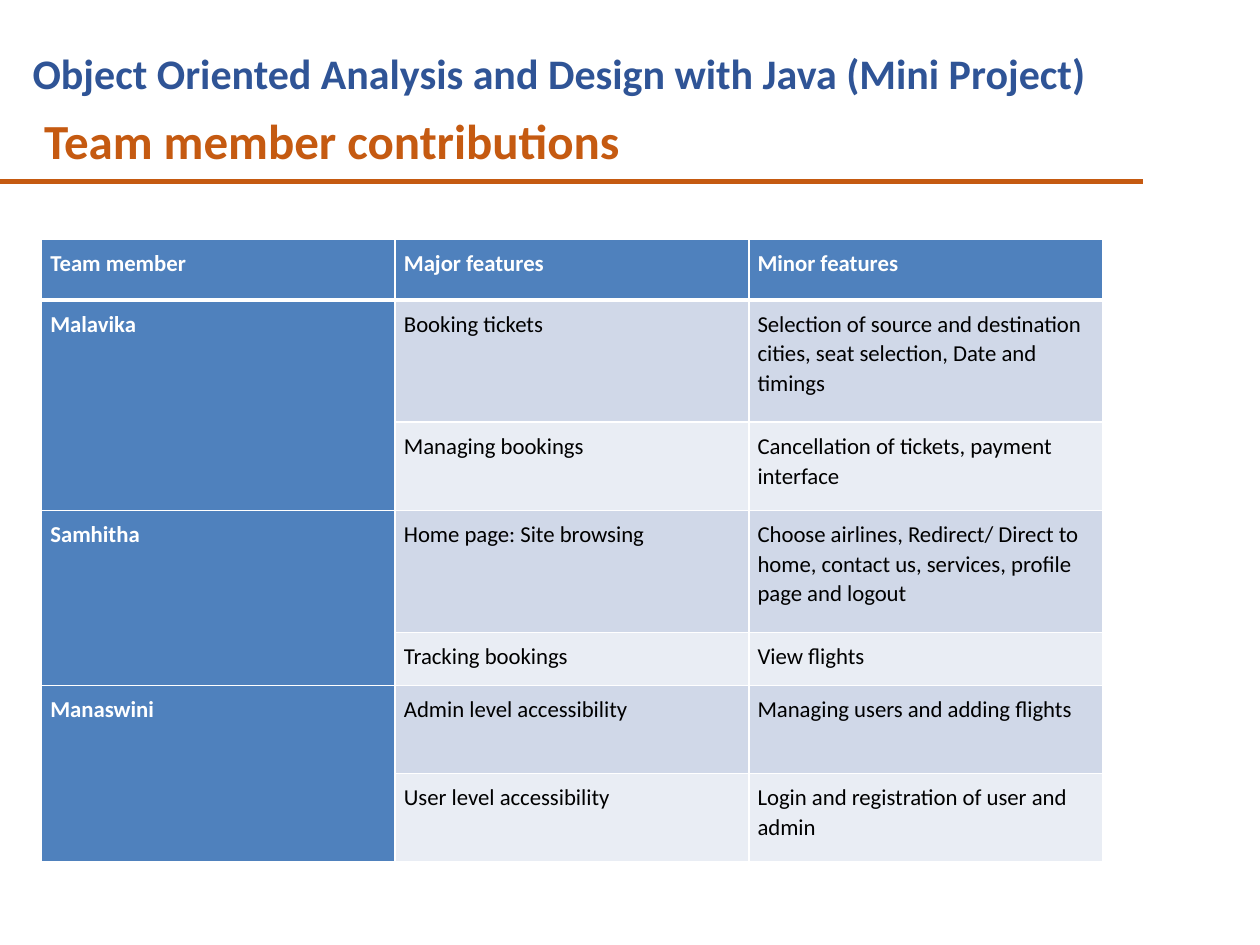
import pptx
import pptx.dml.color
import pptx.enum.shapes
import pptx.enum.text
import pptx.oxml
import pptx.oxml.ns
import pptx.util
import lxml.etree

Inches = pptx.util.Inches
Pt = pptx.util.Pt
BLUE, NAVY, RUST = "4F81BD", "2F5496", "C55A11"
WHITE, BLACK = "FFFFFF", "000000"
BANDS = ["D0D8E8", "E9EDF4"]

HEADS = ["Team member", "Major features", "Minor features"]
TEAM = {
    "Malavika": [
        ("Booking tickets",
         "Selection of source and destination cities, seat selection, Date and timings"),
        ("Managing bookings", "Cancellation of tickets, payment interface"),
    ],
    "Samhitha": [
        ("Home page: Site browsing",
         "Choose airlines, Redirect/ Direct to home, contact us, services, profile page and logout"),
        ("Tracking bookings", "View flights"),
    ],
    "Manaswini": [
        ("Admin level accessibility", "Managing users and adding flights"),
        ("User level accessibility", "Login and registration of user and admin"),
    ],
}
HEIGHTS = [0.48, 0.97, 0.7, 0.97, 0.42, 0.7, 0.7]


def color(code):
    return pptx.dml.color.RGBColor.from_string(code)


class Deck:
    font = "Calibri"

    def __init__(self):
        self.prs = pptx.Presentation()
        self.prs.slide_width, self.prs.slide_height = Inches(10), Inches(7.5)
        self.slide = self.prs.slides.add_slide(self.prs.slide_layouts[5])

    def text(self, frame, words, size, shade, bold=True):
        para = frame.paragraphs[0]
        para.alignment = pptx.enum.text.PP_ALIGN.LEFT
        run = para.add_run()
        run.text = words
        style = {"name": self.font, "size": Pt(size), "bold": bold}
        for key, value in style.items():
            setattr(run.font, key, value)
        run.font.color.rgb = color(shade)
        return para

    def fit(self, shape, words, size, shade):
        """Fill a title or text box with one heading."""
        frame = shape.text_frame
        style = {
            "word_wrap": True,
            "auto_size": pptx.enum.text.MSO_AUTO_SIZE.NONE,
            "vertical_anchor": pptx.enum.text.MSO_ANCHOR.TOP,
        }
        for key, value in style.items():
            setattr(frame, key, value)
        self.text(frame, words, size, shade)

    def title(self, words, box, size, shade):
        shape = self.slide.shapes.title
        for key, value in zip(("left", "top", "width", "height"), box):
            setattr(shape, key, Inches(value))
        self.fit(shape, words, size, shade)

    def label(self, words, box, size, shade):
        shape = self.slide.shapes.add_textbox(*map(Inches, box))
        self.fit(shape, words, size, shade)

    def rule(self, left, right, top, shade, width):
        line = self.slide.shapes.add_connector(
            pptx.enum.shapes.MSO_CONNECTOR.STRAIGHT,
            Inches(left), Inches(top), Inches(right), Inches(top))
        line.line.color.rgb = color(shade)
        line.line.width = Pt(width)
        props = line._element.spPr
        lxml.etree.SubElement(props, pptx.oxml.ns.qn("a:effectLst"))

    def border(self, cell, widths):
        props = cell._tc.get_or_add_tcPr()
        space = pptx.oxml.ns.nsdecls("a")
        for side, width in widths.items():
            props.append(pptx.oxml.parse_xml(
                f'<a:ln{side} {space} w="{Pt(width)}"><a:solidFill>'
                f'<a:srgbClr val="{WHITE}"/></a:solidFill></a:ln{side}>'))

    def cell(self, cell, words, fill, shade, bold, widths):
        for side in ("left", "top", "right", "bottom"):
            setattr(cell, "margin_" + side, Inches(0.07))
        self.border(cell, widths)
        cell.fill.solid()
        cell.fill.fore_color.rgb = color(fill)
        if words:
            para = self.text(cell.text_frame, words, 13, shade, bold)
            para.line_spacing = 1.07

    def table(self, rows, heights, box):
        grid = self.slide.shapes.add_table(
            len(rows), len(rows[0]), *map(Inches, box)).table
        for col in grid.columns:
            col.width = Inches(box[2] / len(rows[0]))
        for r, (row, height) in enumerate(zip(rows, heights)):
            grid.rows[r].height = Inches(height)
            widths = {"L": 1, "R": 1, "T": 3 if r == 1 else 1, "B": 1 if r else 3}
            for c, words in enumerate(row):
                head = r == 0 or c == 0
                fill = BLUE if head else BANDS[(r - 1) % 2]
                shade = WHITE if head else BLACK
                self.cell(grid.cell(r, c), words, fill, shade, head, widths)
        return grid


def main():
    deck = Deck()
    deck.rule(-0.01, 9.07, 1.44, RUST, 3)
    deck.label("Object Oriented Analysis and Design with Java (Mini Project)",
               (0.16, 0.33, 8.88, 0.5), 24, NAVY)
    deck.title("Team member contributions", (0.25, 0.83, 8.33, 0.57), 28, RUST)

    rows, spans = [HEADS], []
    for name, tasks in TEAM.items():
        spans.append((len(rows), len(rows) + len(tasks) - 1))
        for i, task in enumerate(tasks):
            rows.append(["" if i else name, *task])
    grid = deck.table(rows, HEIGHTS, (0.33, 1.9, 8.42, sum(HEIGHTS)))
    for first, last in spans:
        grid.cell(first, 0).merge(grid.cell(last, 0))
    deck.prs.save("out.pptx")


if __name__ == "__main__":
    main()
